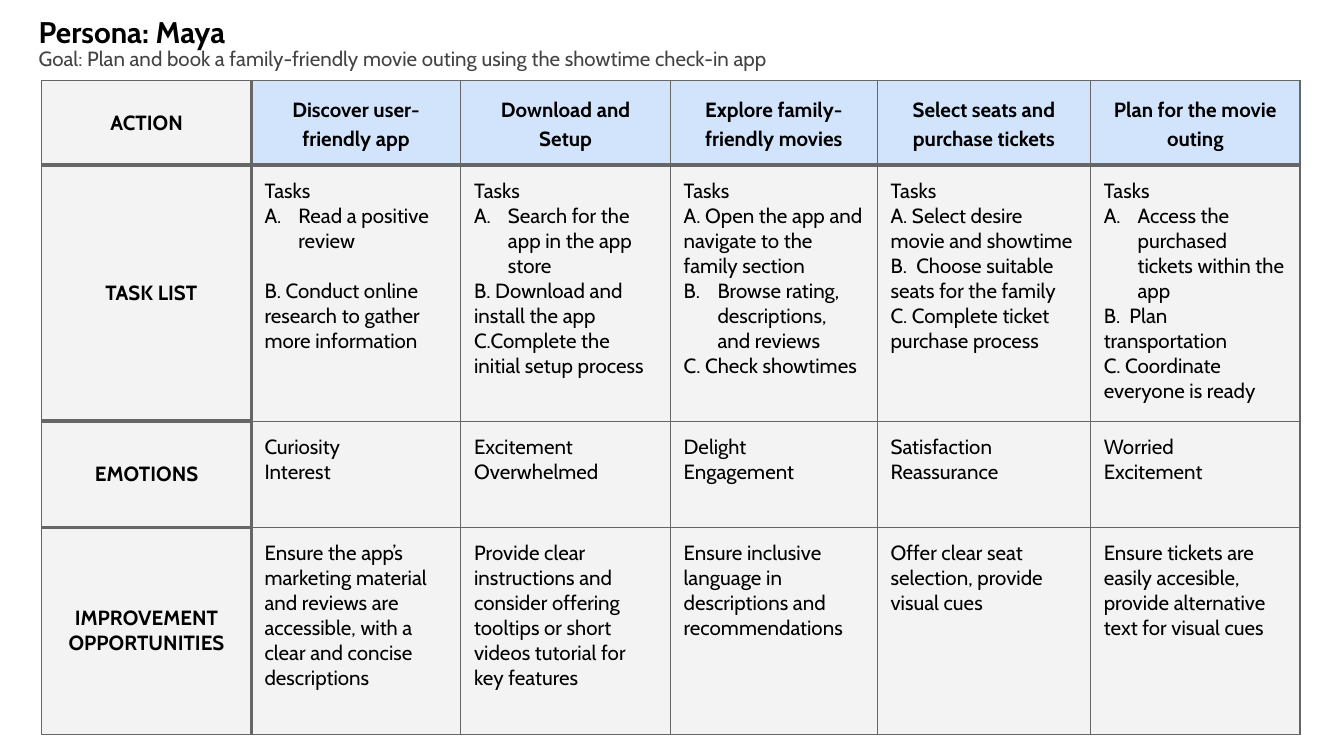
import pptx
import pptx.util
import pptx.dml.color
import pptx.enum.text
import pptx.oxml
import pptx.oxml.ns
import lxml.etree

Cm, Pt = pptx.util.Cm, pptx.util.Pt
ALIGN = pptx.enum.text.PP_ALIGN
MIDDLE = pptx.enum.text.MSO_ANCHOR.MIDDLE
qn = pptx.oxml.ns.qn

FONT, BLACK, GREY = "Cabin", "000000", "F3F3F3"
BLUE, LINE = "D2E3FC", "666666"
THIN, THICK = 0.75, 2.25
PAD = 0.25

WIDTHS = [3.96, 3.96, 3.96, 3.91, 4.03, 3.96]
HEIGHTS = [1.6, 4.84, 2.01, 3.91]

# A tuple is a lettered item: number of its letter, text, space after in points
ROWS = [
    ["ACTION", "Discover user-friendly app", "Download and Setup",
     "Explore family-friendly movies", "Select seats and purchase tickets",
     "Plan for the movie outing"],
    ["TASK LIST",
     ["Tasks", (1, "Read a positive review", 13.4),
      "B. Conduct online research to gather more information"],
     ["Tasks", (1, "Search for the app in the app store", 0),
      "B. Download and install the app",
      "C.Complete the initial setup process"],
     ["Tasks", "A. Open the app and navigate to the family section",
      (2, "Browse rating, descriptions, and reviews", 0),
      "C. Check showtimes"],
     ["Tasks", "A. Select desire movie and showtime",
      "B.  Choose suitable seats for the family",
      "C. Complete ticket purchase process"],
     ["Tasks", (1, "Access the purchased tickets within the app", 0),
      "B.  Plan transportation", "C. Coordinate everyone is ready"]],
    ["EMOTIONS", ["Curiosity", "Interest"], ["Excitement", "Overwhelmed"],
     ["Delight", "Engagement"], ["Satisfaction", "Reassurance"],
     ["Worried", "Excitement"]],
    ["IMPROVEMENT OPPORTUNITIES",
     ["Ensure the app’s marketing material and reviews are accessible, "
      "with a clear and concise descriptions"],
     ["Provide clear instructions and consider offering tooltips or short "
      "videos tutorial for key features"],
     ["Ensure inclusive language in descriptions and recommendations"],
     ["Offer clear seat selection, provide visual cues"],
     ["Ensure tickets are easily accesible, provide alternative text for "
      "visual cues"]],
]


def color(code):
    return pptx.dml.color.RGBColor.from_string(code)


def style(para, size=11, code=BLACK, bold=False):
    font = para.font
    font.name, font.size, font.bold = FONT, Pt(size), bold
    font.color.rgb = color(code)


def indent(para, left, first):
    props = para._p.get_or_add_pPr()
    props.set("marL", str(Cm(left)))
    props.set("indent", str(Cm(first)))
    return props


def letter(para, start):
    props = indent(para, 0.64, -0.64)
    tint = lxml.etree.SubElement(props, qn("a:buClr"))
    lxml.etree.SubElement(tint, qn("a:srgbClr"), val=BLACK)
    lxml.etree.SubElement(props, qn("a:buAutoNum"),
                          type="alphaUcPeriod", startAt=str(start))


def pad(box):
    box.margin_left = box.margin_right = Cm(PAD)
    box.margin_top = box.margin_bottom = Cm(PAD)


def label(slide, text, top, width, height, size, code, bold=False):
    box = slide.shapes.add_textbox(Cm(0.48), Cm(top), Cm(width), Cm(height))
    frame = box.text_frame
    frame.word_wrap = True
    pad(frame)
    para = frame.paragraphs[0]
    para.text = text
    style(para, size, code, bold)


def border(cell, row, col):
    # Heavy lines set off the heading row and the first column
    last = len(ROWS) - 1
    heavy = {
        "L": col == 1,
        "R": col == 0,
        "T": row == 1 or (col == 0 and row > 0),
        "B": row == 0 or (col == 0 and row < last),
    }
    props = cell._tc.get_or_add_tcPr()
    for side, thick in heavy.items():
        width = Pt(THICK if thick else THIN)
        line = lxml.etree.SubElement(props, qn("a:ln" + side), w=str(width))
        fill = lxml.etree.SubElement(line, qn("a:solidFill"))
        lxml.etree.SubElement(fill, qn("a:srgbClr"), val=LINE)


def title(cell, text, row, col):
    cell.vertical_anchor = MIDDLE
    para = cell.text_frame.paragraphs[0]
    para.text = text
    para.alignment = ALIGN.CENTER
    if col > 0:
        para.line_spacing = 1.15
    if row == 1:
        indent(para, 0.48, -0.3)
    style(para, bold=True)


def notes(cell, items):
    frame = cell.text_frame
    for num, item in enumerate(items):
        para = frame.add_paragraph() if num else frame.paragraphs[0]
        if isinstance(item, tuple):
            start, item, gap = item
            letter(para, start)
            para.space_after = Pt(gap)
        para.text = item
        style(para)


def grid(slide):
    table = slide.shapes.add_table(
        len(HEIGHTS), len(WIDTHS), Cm(0.79), Cm(1.52),
        Cm(sum(WIDTHS)), Cm(sum(HEIGHTS))).table
    for col, width in enumerate(WIDTHS):
        table.columns[col].width = Cm(width)
    for row, items in enumerate(ROWS):
        table.rows[row].height = Cm(HEIGHTS[row])
        for col, item in enumerate(items):
            cell = table.cell(row, col)
            pad(cell)
            border(cell, row, col)
            cell.fill.solid()
            blue = row == 0 and col > 0
            cell.fill.fore_color.rgb = color(BLUE if blue else GREY)
            if isinstance(item, str):
                title(cell, item, row, col)
            else:
                notes(cell, item)


def main():
    deck = pptx.Presentation()
    deck.slide_width, deck.slide_height = Cm(25.4), Cm(14.29)
    slide = deck.slides.add_slide(deck.slide_layouts[6])

    # Heading
    label(slide, "Persona: Maya", 0, 4.95, 1.12, 16, BLACK, True)
    label(slide, "Goal: Plan and book a family-friendly movie outing using "
          "the showtime check-in app", 0.64, 23.57, 0.76, 11, "434343")

    # Journey table
    grid(slide)
    deck.save("out.pptx")


if __name__ == "__main__":
    main()
